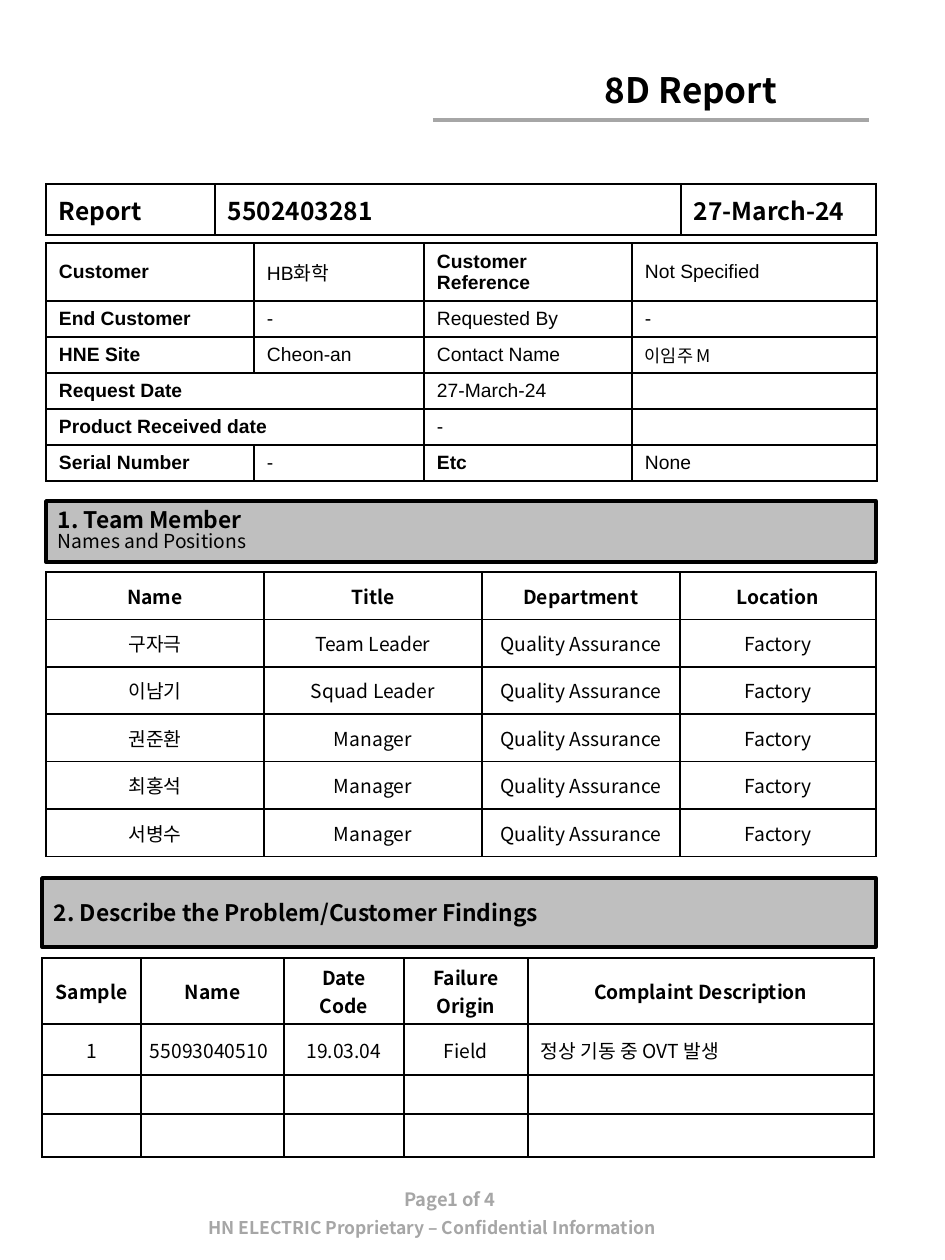
from lxml import etree
from pptx import Presentation
from pptx import util as u
from pptx.dml.color import RGBColor
from pptx.enum import shapes, text
from pptx.oxml import ns

BLACK = RGBColor(0x00, 0x00, 0x00)
GREY = RGBColor(0xA6, 0xA6, 0xA6)
BANNER = RGBColor(0xBF, 0xBF, 0xBF)
NOTO = "Noto Sans CJK KR"
ARIAL = "Arial"
LEFT, CENTER = text.PP_ALIGN.LEFT, text.PP_ALIGN.CENTER
MIDDLE = text.MSO_ANCHOR.MIDDLE

REPORT = [["Report", "5502403281", "27-March-24"]]
# None continues the cell on its left.
DETAILS = [
    ["Customer", "HB화학", "Customer Reference", "Not Specified"],
    ["End Customer", "-", "Requested By", "-"],
    ["HNE Site", "Cheon-an", "Contact Name", "이임주 M"],
    ["Request Date", None, "27-March-24", ""],
    ["Product Received date", None, "-", ""],
    ["Serial Number", "-", "Etc", "None"],
]
BOLD_DETAILS = {"Customer Reference", "Etc"}
MEMBERS = [("구자극", "Team Leader"), ("이남기", "Squad Leader"),
           ("권준환", "Manager"), ("최홍석", "Manager"), ("서병수", "Manager")]
TEAM = [["Name", "Title", "Department", "Location"]] + [
    [name, title, "Quality Assurance", "Factory"] for name, title in MEMBERS]
FINDINGS = [
    ["Sample", "Name", "Date Code", "Failure Origin", "Complaint Description"],
    ["1", "55093040510", "19.03.04", "Field", "정상 기동 중 OVT 발생"],
    [""] * 5,
    [""] * 5,
]


def px(n):
    return u.Emu(round(n * 914400 / 126))


def add_run(p, words, size, font=NOTO, bold=True, color=BLACK):
    r = p.add_run()
    r.text = words
    f = r.font
    f.size, f.name, f.bold = u.Pt(size), font, bold
    f.color.rgb = color
    ea = etree.SubElement(r._r.get_or_add_rPr(), ns.qn("a:ea"))
    ea.set("typeface", NOTO)


def add_text(s, x, y, w, h, words, size, color, align=CENTER):
    tf = s.shapes.add_textbox(px(x), px(y), px(w), px(h)).text_frame
    tf.word_wrap = True
    p = tf.paragraphs[0]
    p.alignment = align
    add_run(p, words, size, color=color)


def add_rule(s, x1, x2, y):
    line = s.shapes.add_connector(shapes.MSO_CONNECTOR.STRAIGHT,
                                  px(x1), px(y), px(x2), px(y))
    line.line.color.rgb = GREY
    line.line.width = u.Pt(2.25)
    etree.SubElement(line._element.spPr, ns.qn("a:effectLst"))


def add_banner(s, x, y, w, h, title, subtitle=None):
    sp = s.shapes.add_shape(shapes.MSO_SHAPE.RECTANGLE, px(x), px(y), px(w), px(h))
    sp.shadow.inherit = False
    sp.fill.solid()
    sp.fill.fore_color.rgb = BANNER
    sp.line.color.rgb = BLACK
    sp.line.width = u.Pt(2)
    tf = sp.text_frame
    tf.word_wrap = True
    tf.vertical_anchor = MIDDLE
    tf.margin_left = px(12)
    p = tf.paragraphs[0]
    p.alignment = LEFT
    add_run(p, title, 13)
    if subtitle:
        p.line_spacing = 0.85
        p = tf.add_paragraph()
        p.alignment = LEFT
        p.line_spacing = 0.85
        add_run(p, subtitle, 11, bold=False)


def set_borders(cell):
    tc_pr = cell._tc.get_or_add_tcPr()
    for i, side in enumerate(("lnL", "lnR", "lnT", "lnB")):
        ln = etree.Element(ns.qn("a:" + side), w=str(u.Pt(1)))
        fill = etree.SubElement(ln, ns.qn("a:solidFill"))
        etree.SubElement(fill, ns.qn("a:srgbClr"), val=str(BLACK))
        tc_pr.insert(i, ln)


def fill_cell(cell, words, size, font, bold, align):
    cell.vertical_anchor = MIDDLE
    cell.margin_left = cell.margin_right = px(13)
    cell.margin_top = cell.margin_bottom = px(4)
    cell.fill.background()
    set_borders(cell)
    p = cell.text_frame.paragraphs[0]
    p.alignment = align
    if words:
        add_run(p, words, size, font, bold)
    else:
        etree.SubElement(p._p, ns.qn("a:endParaRPr"), sz=str(size * 100))


def add_grid(s, x, y, cols, heights, rows, is_bold, size=11, font=NOTO, align=CENTER):
    """Add a ruled table; is_bold(row, col, words) picks the bold cells."""
    table = s.shapes.add_table(len(rows), len(cols), px(x), px(y),
                               px(sum(cols)), px(sum(heights))).table
    table.first_row = table.horz_banding = False
    for col, w in zip(table.columns, cols):
        col.width = px(w)
    for row, h in zip(table.rows, heights):
        row.height = px(h)
    for i, row in enumerate(rows):
        for j, words in enumerate(row):
            fill_cell(table.cell(i, j), words, size, font, is_bold(i, j, words), align)
            if words is None:
                table.cell(i, j - 1).merge(table.cell(i, j))
    return table


def header_row(i, j, words):
    return i == 0


def detail_label(i, j, words):
    return j == 0 or words in BOLD_DETAILS


def main():
    prs = Presentation()
    prs.slide_width, prs.slide_height = px(945), px(1260)
    s = prs.slides.add_slide(prs.slide_layouts[6])

    add_rule(s, 433, 869, 120)
    add_text(s, 522, 62, 338, 55, "8D Report", 20, BLACK)
    add_text(s, 155, 1211, 554, 34,
             "HN ELECTRIC Proprietary – Confidential Information", 10, GREY)

    add_grid(s, 46, 184, [169, 466, 195], [51], REPORT, header_row, size=14, align=LEFT)
    details = add_grid(s, 46, 243, [208, 170, 208, 245], [58] + [36] * 5, DETAILS,
                       detail_label, font=ARIAL, align=LEFT)
    contact = details.cell(2, 3).text_frame.paragraphs[0].runs[0].font
    contact.size, contact.name = u.Pt(10), NOTO

    add_banner(s, 46, 501, 830, 61, "1. Team Member", "Names and Positions")
    add_banner(s, 42, 878, 834, 69, "2. Describe the Problem/Customer Findings")

    findings = add_grid(s, 42, 958, [99, 143, 120, 124, 346], [66, 51, 39, 43],
                        FINDINGS, header_row)
    serial = findings.cell(1, 1)
    serial.margin_left = serial.margin_right = px(9)
    for cell in (serial, findings.cell(1, 4)):
        cell.text_frame.paragraphs[0].alignment = LEFT

    add_grid(s, 46, 572, [218, 218, 198, 196], [47.4] * 6, TEAM, header_row)
    add_text(s, 392, 1182, 205, 37, "Page1 of 4", 10.5, GREY, LEFT)
    prs.save("out.pptx")


if __name__ == "__main__":
    main()
